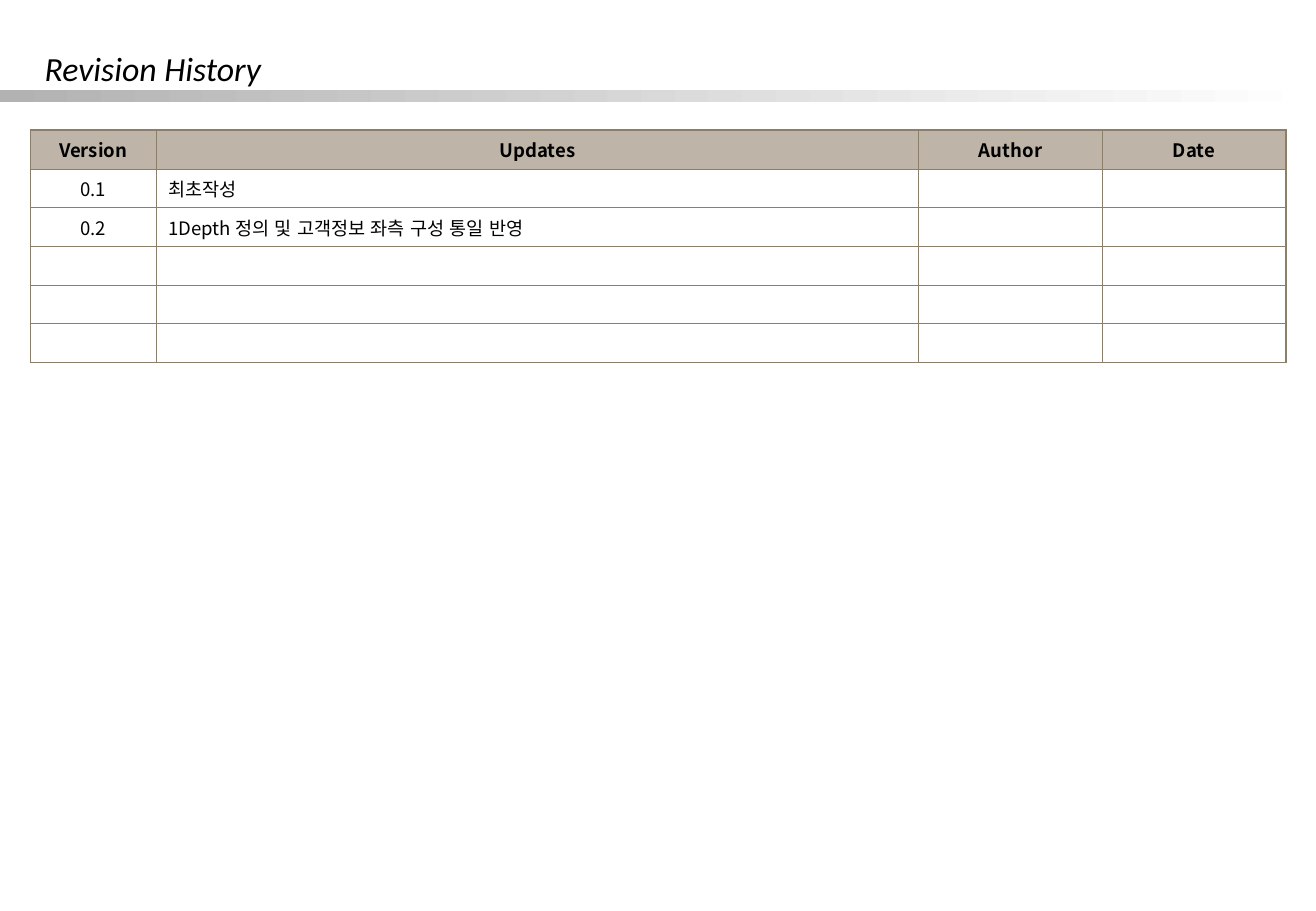
"""Build the revision history slide."""
from dataclasses import dataclass

from lxml import etree
from pptx import Presentation
from pptx.dml.color import RGBColor
from pptx.enum import lang, shapes, text as t
from pptx.oxml import ns
from pptx.util import Pt


@dataclass(frozen=True)
class Theme:
    """Colours, fonts and sizes of the slide."""
    ink: str = "000000"
    header: str = "BEB5A8"
    border: str = "8B7E6A"
    bar_start: str = "B2B2B2"
    bar_end: str = "FFFFFF"
    title_font: str = "Calibri"
    body_font: str = "Noto Sans CJK KR"
    title_size: float = 20
    body_size: float = 11
    outer_line: float = 1.08
    inner_line: float = 0.45


THEME = Theme()
COLUMN_WIDTHS = (74.5, 452.2, 108.8, 108.8)
ROW_HEIGHT = 22.95
ROWS = (
    ("Version", "Updates", "Author", "Date"),
    ("0.1", "최초작성", "", ""),
    ("0.2", "1Depth 정의 및 고객정보 좌측 구성 통일 반영", "", ""),
    ("", "", "", ""),
    ("", "", "", ""),
    ("", "", "", ""),
)


def write(frame, text, *, font, size, bold=False, italic=False, align=t.PP_ALIGN.LEFT):
    """Put one formatted line of text in a frame."""
    para = frame.paragraphs[0]
    para.alignment = align
    if not text:
        etree.SubElement(para._p, ns.qn("a:endParaRPr"), sz=str(size * 100))
        return
    span = para.add_run()
    span.text = text
    span.font.name = font
    span.font.size = Pt(size)
    span.font.bold = bold
    span.font.italic = italic
    span.font.language_id = lang.MSO_LANGUAGE_ID.KOREAN
    span.font.color.rgb = RGBColor.from_string(THEME.ink)
    etree.SubElement(span._r.get_or_add_rPr(), ns.qn("a:ea"), typeface=font)


def add_title(page, text):
    """Add the slide title."""
    box = page.shapes.add_textbox(Pt(19.4), Pt(25.9), Pt(702), Pt(28.8))
    box.text_frame.word_wrap = True
    box.text_frame.vertical_anchor = t.MSO_ANCHOR.MIDDLE
    write(box.text_frame, text, font=THEME.title_font, size=THEME.title_size, italic=True)


def add_gradient_bar(page):
    """Add the fading bar under the title."""
    bar = page.shapes.add_shape(shapes.MSO_SHAPE.RECTANGLE, 0, Pt(53.5), Pt(780), Pt(7))
    bar.shadow.inherit = False
    bar.line.fill.background()
    bar.fill.gradient()
    bar.fill.gradient_angle = 0
    for stop, colour in zip(bar.fill.gradient_stops, (THEME.bar_start, THEME.bar_end)):
        stop.color.rgb = RGBColor.from_string(colour)


def set_borders(cell, outer_sides):
    """Draw the four cell borders, thicker on the outer sides."""
    properties = cell._tc.get_or_add_tcPr()
    for side in "LRTB":
        width = THEME.outer_line if side in outer_sides else THEME.inner_line
        line = etree.SubElement(properties, ns.qn(f"a:ln{side}"), w=str(int(Pt(width))))
        fill = etree.SubElement(line, ns.qn("a:solidFill"))
        etree.SubElement(fill, ns.qn("a:srgbClr"), val=THEME.border)


def format_cell(cell, text, row, column):
    """Fill one table cell according to its place in the grid."""
    edges = {"L": column == 0, "R": column == len(COLUMN_WIDTHS) - 1,
             "T": row == 0, "B": row == len(ROWS) - 1}
    set_borders(cell, [side for side, outer in edges.items() if outer])
    is_header = row == 0
    if is_header:
        cell.fill.solid()
        cell.fill.fore_color.rgb = RGBColor.from_string(THEME.header)
    else:
        cell.fill.background()
    cell.vertical_anchor = t.MSO_ANCHOR.MIDDLE
    centred = is_header or column == 0
    write(cell.text_frame, text, font=THEME.body_font, size=THEME.body_size, bold=is_header,
          align=t.PP_ALIGN.CENTER if centred else t.PP_ALIGN.LEFT)


def add_history_table(page):
    """Add the table of revisions."""
    table = page.shapes.add_table(
        len(ROWS), len(COLUMN_WIDTHS), Pt(18), Pt(77.2),
        Pt(sum(COLUMN_WIDTHS)), Pt(ROW_HEIGHT * len(ROWS))).table
    table.first_row = False
    table.horz_banding = False
    for column, width in zip(table.columns, COLUMN_WIDTHS):
        column.width = Pt(width)
    for row, values in enumerate(ROWS):
        table.rows[row].height = Pt(ROW_HEIGHT)
        for column, value in enumerate(values):
            format_cell(table.cell(row, column), value, row, column)


def main():
    """Build and save the deck."""
    deck = Presentation()
    deck.slide_width, deck.slide_height = Pt(780.13), Pt(540)
    page = deck.slides.add_slide(deck.slide_layouts[6])
    add_title(page, "Revision History")
    add_history_table(page)
    add_gradient_bar(page)
    deck.save("out.pptx")


if __name__ == "__main__":
    main()
